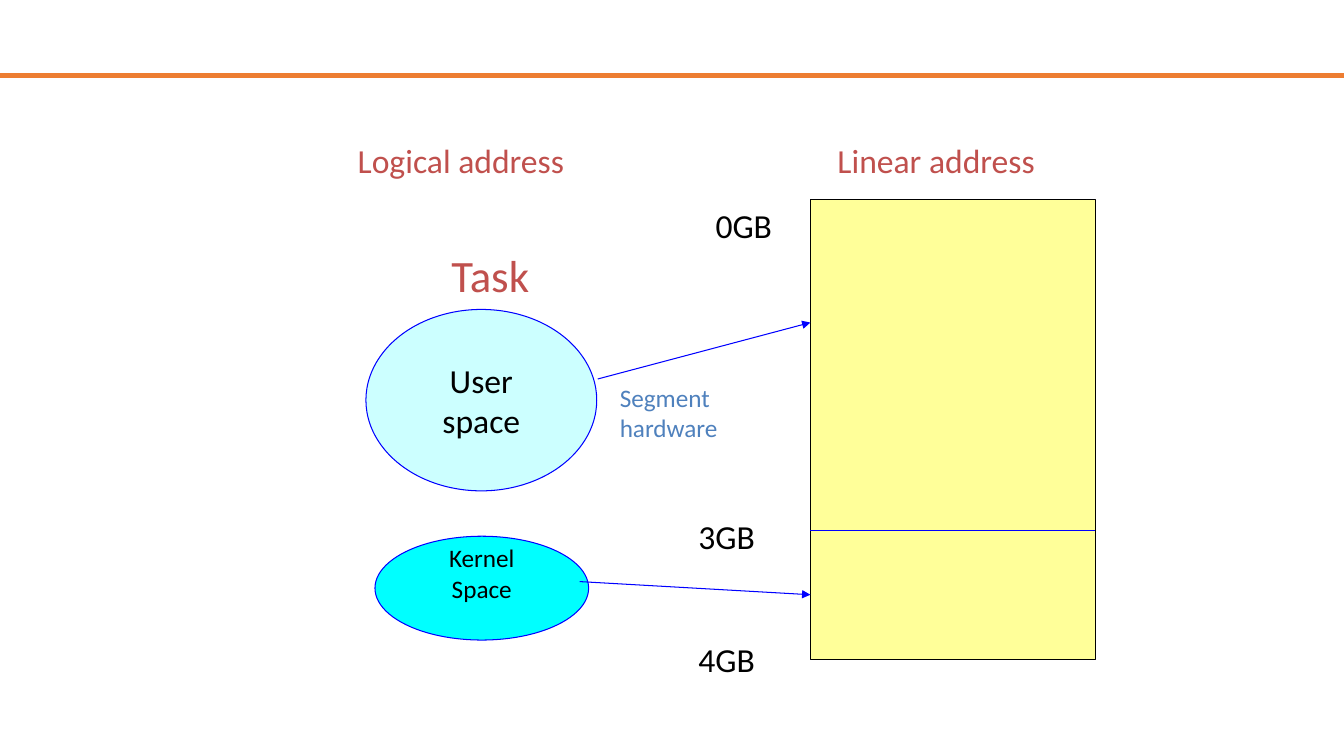
import pptx
import pptx.util
import pptx.dml.color
import pptx.enum.shapes
import pptx.enum.text
import pptx.oxml
import pptx.oxml.ns

RGBColor = pptx.dml.color.RGBColor
BLACK = RGBColor(0x00, 0x00, 0x00)
ORANGE = RGBColor(0xED, 0x7D, 0x31)
YELLOW = RGBColor(0xFF, 0xFF, 0x99)
BLUE = RGBColor(0x00, 0x00, 0xFF)
PALE_CYAN = RGBColor(0xCC, 0xFF, 0xFF)
CYAN = RGBColor(0x00, 0xFF, 0xFF)
RED = RGBColor(0xC0, 0x50, 0x4D)
STEEL_BLUE = RGBColor(0x4F, 0x81, 0xBD)

RECTANGLE = pptx.enum.shapes.MSO_SHAPE.RECTANGLE
OVAL = pptx.enum.shapes.MSO_SHAPE.OVAL
LEFT = pptx.enum.text.PP_ALIGN.LEFT
CENTER = pptx.enum.text.PP_ALIGN.CENTER
TOP = pptx.enum.text.MSO_ANCHOR.TOP
MIDDLE = pptx.enum.text.MSO_ANCHOR.MIDDLE

presentation = pptx.Presentation()
presentation.slide_width = pptx.util.Inches(13.33)
presentation.slide_height = pptx.util.Inches(7.5)
slide = presentation.slides.add_slide(presentation.slide_layouts[6])

# The slide is a grid of 80 columns by 45 rows.
COLUMN = presentation.slide_width / 80
ROW = presentation.slide_height / 45
MEMORY_LEFT, MEMORY_TOP, MEMORY_WIDTH, MEMORY_HEIGHT = 48.24, 11.88, 16.96, 27.36
HEADING_TOP = 8.04
LABEL_HEIGHT = 3


def to_slide(*grid):
    """Turn alternating columns and rows into slide lengths."""
    return [round(value * (ROW if index % 2 else COLUMN)) for index, value in enumerate(grid)]


def write_lines(shape, lines, size, color, alignment, anchor):
    frame = shape.text_frame
    frame.word_wrap = True
    frame.vertical_anchor = anchor
    for index, line in enumerate(lines):
        paragraph = frame.paragraphs[0] if index == 0 else frame.add_paragraph()
        paragraph.alignment = alignment
        run = paragraph.add_run()
        run.text = line
        run.font.name = "Calibri"
        run.font.size = pptx.util.Pt(size)
        run.font.color.rgb = color


# Memory block and the two address spaces; the kernel label sits above the middle
for kind, box, fill, outline, lines, size, rows_below in [
    (RECTANGLE, (MEMORY_LEFT, MEMORY_TOP, MEMORY_WIDTH, MEMORY_HEIGHT), YELLOW, BLACK, [], 24, 0.3),
    (OVAL, (21.78, 18.42, 13.74, 10.8), PALE_CYAN, BLUE, ["User", "space"], 24, 0.3),
    (OVAL, (22.32, 31.92, 12.72, 6.18), CYAN, BLUE, ["Kernel", "Space"], 18, 2.1),
]:
    shape = slide.shapes.add_shape(kind, *to_slide(*box))
    shape.shadow.inherit = False
    shape.fill.solid()
    shape.fill.fore_color.rgb = fill
    shape.line.color.rgb = outline
    shape.line.width = pptx.util.Pt(0.75)
    write_lines(shape, lines, size, BLACK, CENTER, MIDDLE)
    shape.text_frame.margin_bottom = round(rows_below * ROW)

# Free labels
for box, lines, size, color, alignment, anchor in [
    ((18.6, 14.22, 21.18, 4.26), ["Task"], 32, RED, CENTER, MIDDLE),
    ((20.7, HEADING_TOP, 16.68, LABEL_HEIGHT), ["Logical address"], 24, RED, LEFT, TOP),
    ((49.26, HEADING_TOP, 15.9, LABEL_HEIGHT), ["Linear address"], 24, RED, LEFT, TOP),
    ((42, MEMORY_TOP, 5.4, LABEL_HEIGHT), ["0GB"], 24, BLACK, LEFT, TOP),
    ((40.98, 30.42, 5.4, LABEL_HEIGHT), ["3GB"], 24, BLACK, LEFT, TOP),
    ((40.98, 37.74, 5.4, LABEL_HEIGHT), ["4GB"], 24, BLACK, LEFT, TOP),
    ((36.3, 22.44, 8.22, 6), ["Segment", "hardware"], 18, STEEL_BLUE, LEFT, TOP),
]:
    label = slide.shapes.add_textbox(*to_slide(*box))
    write_lines(label, lines, size, color, alignment, anchor)

# Header rule, 3GB boundary and mapping arrows
for ends, color, width, has_arrow in [
    ((0, 4.5, 80, 4.5), ORANGE, 3, False),
    ((MEMORY_LEFT, 31.56, MEMORY_LEFT + MEMORY_WIDTH, 31.56), BLUE, 0.75, False),
    ((35.58, 22.56, MEMORY_LEFT, 19.2), BLUE, 0.75, True),
    ((34.5, 34.62, MEMORY_LEFT, 35.4), BLUE, 0.75, True),
]:
    connector = slide.shapes.add_connector(
        pptx.enum.shapes.MSO_CONNECTOR.STRAIGHT, *to_slide(*ends))
    connector.line.color.rgb = color
    connector.line.width = pptx.util.Pt(width)
    if has_arrow:
        arrowhead = pptx.oxml.parse_xml(
            f'<a:tailEnd {pptx.oxml.ns.nsdecls("a")} type="triangle"/>')
        connector.line._get_or_add_ln().append(arrowhead)
    no_effects = pptx.oxml.parse_xml(f'<a:effectLst {pptx.oxml.ns.nsdecls("a")}/>')
    connector._element.spPr.append(no_effects)

presentation.save("out.pptx")
